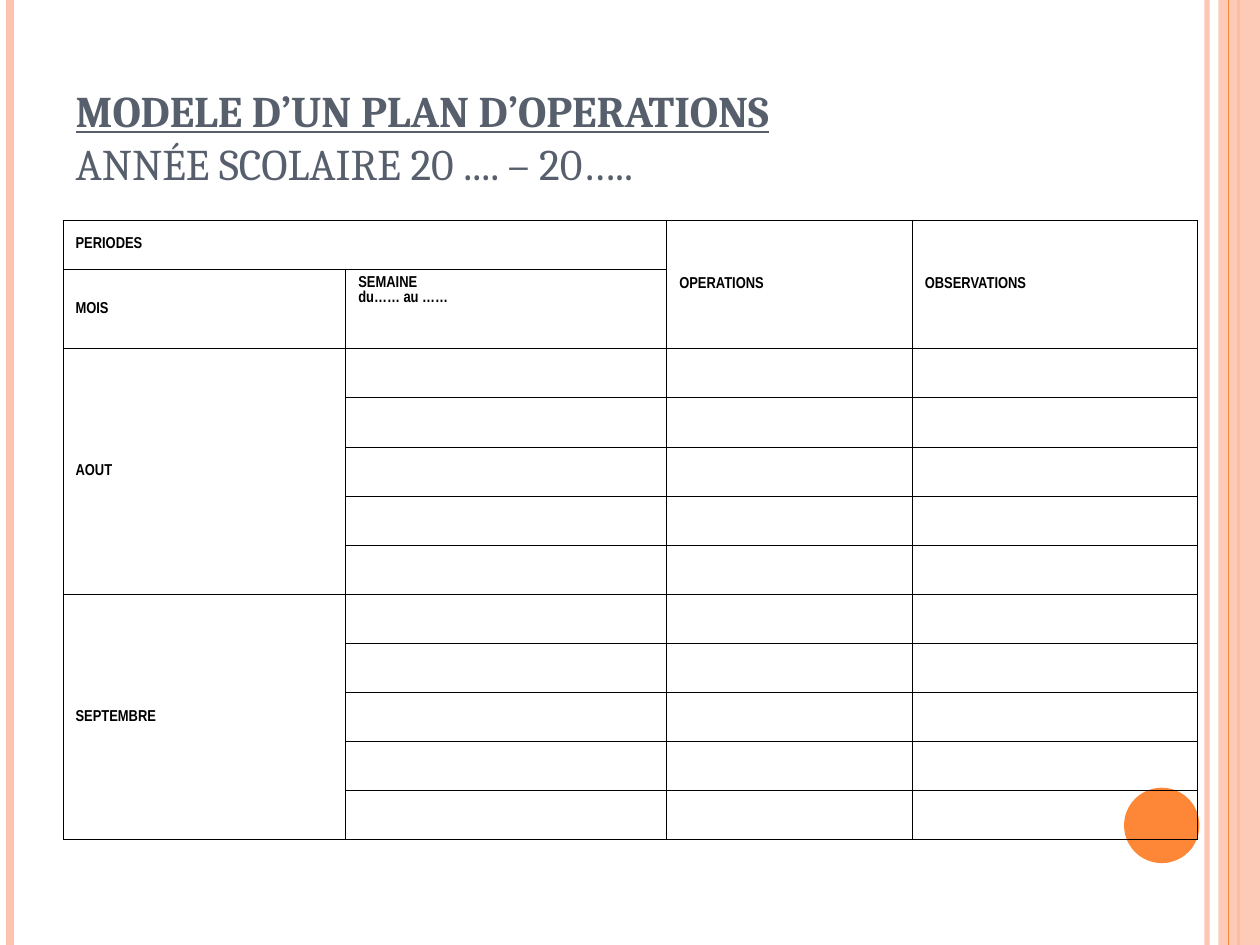
from dataclasses import dataclass

from lxml.etree import SubElement
from pptx import Presentation
from pptx.dml.color import RGBColor
from pptx.enum.shapes import MSO_CONNECTOR, MSO_SHAPE
from pptx.enum.text import MSO_ANCHOR, MSO_AUTO_SIZE, PP_ALIGN
from pptx.oxml.ns import qn
from pptx.util import Cm, Pt

WIDE, HIGH = 25.4, 19.05


@dataclass(frozen=True)
class Theme:
    peach: str = "FEC3AE"
    orange: str = "FE8637"
    slate: str = "575F6D"
    black: str = "000000"
    head: str = "Cambria"
    body: str = "Arial Narrow"
    big: int = 25
    small: int = 9
    rule: float = 0.45


def write(para, text, font, size, color, bold=False, under=False, align=PP_ALIGN.LEFT):
    para.alignment = align
    run = para.add_run()
    run.text = text
    run.font.name = font
    run.font.size = Pt(size)
    run.font.bold = bold
    run.font.underline = under
    run.font.color.rgb = RGBColor.from_string(color)


def fade(fill, color, alpha):
    """Fill with a solid colour at the given opacity in percent."""
    fill.solid()
    fill.fore_color.rgb = RGBColor.from_string(color)
    if alpha < 100:
        tint = fill._xPr.find(f".//{qn('a:srgbClr')}")
        SubElement(tint, qn("a:alpha"), val=str(alpha * 1000))


class Deck:
    def __init__(self, theme):
        self.theme = theme
        self.prs = Presentation()
        self.prs.slide_width, self.prs.slide_height = Cm(WIDE), Cm(HIGH)
        self.slide = self.prs.slides.add_slide(self.prs.slide_layouts[5])

    def stripe(self, x, color, width, alpha=100):
        line = self.slide.shapes.add_connector(
            MSO_CONNECTOR.STRAIGHT, Cm(x), Cm(0), Cm(x), Cm(HIGH))
        line.line.width = Pt(width)
        fade(line.line.fill, color, alpha)
        SubElement(line._element.spPr, qn("a:effectLst"))

    def shape(self, kind, x, y, w, h, color, alpha=100):
        item = self.slide.shapes.add_shape(kind, Cm(x), Cm(y), Cm(w), Cm(h))
        item.shadow.inherit = False
        item.line.fill.background()
        fade(item.fill, color, alpha)

    def title(self, top, sub, x, y, w, h):
        box = self.slide.shapes.title
        box.left, box.top, box.width, box.height = Cm(x), Cm(y), Cm(w), Cm(h)
        frame = box.text_frame
        frame.auto_size = MSO_AUTO_SIZE.NONE
        frame.vertical_anchor = MSO_ANCHOR.BOTTOM
        para = frame.paragraphs[0]
        style = dict(font=self.theme.head, size=self.theme.big, color=self.theme.slate)
        write(para, top, bold=True, under=True, **style)
        para.add_line_break()
        write(para, sub, **style)

    def table(self, x, y, cols, rows):
        grid = self.slide.shapes.add_table(
            len(rows), len(cols), Cm(x), Cm(y), Cm(sum(cols)), Cm(sum(rows))).table
        grid.first_row = grid.horz_banding = False
        for col, width in zip(grid.columns, cols):
            col.width = Cm(width)
        for row, height in zip(grid.rows, rows):
            row.height = Cm(height)
        for cell in grid.iter_cells():
            self.frame(cell)
            SubElement(cell.text_frame.paragraphs[0]._p, qn("a:endParaRPr"),
                       sz=str(self.theme.small * 100))
        return grid

    def frame(self, cell):
        """Rule all four sides of an unfilled cell."""
        props = cell._tc.get_or_add_tcPr()
        for side in ("lnL", "lnR", "lnT", "lnB"):
            line = SubElement(props, qn(f"a:{side}"), w=str(Pt(self.theme.rule)))
            solid = SubElement(line, qn("a:solidFill"))
            SubElement(solid, qn("a:srgbClr"), val=self.theme.black)
        cell.fill.background()

    def label(self, cell, *lines, align=PP_ALIGN.JUSTIFY, anchor=MSO_ANCHOR.MIDDLE):
        cell.vertical_anchor = anchor
        frame = cell.text_frame
        for i, text in enumerate(lines):
            para = frame.add_paragraph() if i else frame.paragraphs[0]
            props = para._p.get_or_add_pPr()
            props.set("marL", str(Cm(0.95)))
            props.set("indent", str(-Cm(0.95)))
            write(para, text, self.theme.body, self.theme.small, self.theme.black,
                  bold=True, align=align)


def main():
    theme = Theme()
    deck = Deck(theme)

    deck.stripe(24.33, theme.peach, 3, alpha=93)
    deck.stripe(0.2, theme.peach, 4.5)
    deck.stripe(24.97, theme.orange, 1.5)
    deck.shape(MSO_SHAPE.RECTANGLE, 24.56, 0, WIDE - 24.56, HIGH, theme.peach, alpha=87)
    deck.stripe(24.77, theme.orange, 0.75)
    deck.shape(MSO_SHAPE.OVAL, 22.66, 15.88, 1.52, 1.52, theme.orange)

    deck.title("MODELE D’UN PLAN D’OPERATIONS", "ANNÉE SCOLAIRE 20 .... – 20…..",
               1.27, 0.76, 22.86, 3.18)

    weeks = 5
    months = ("AOUT", "SEPTEMBRE")
    rows = [0.99, 1.6] + [0.99] * weeks * len(months)
    grid = deck.table(1.27, 4.44, [5.7, 6.47, 4.95, 5.74], rows)

    grid.cell(0, 0).merge(grid.cell(0, 1))
    deck.label(grid.cell(0, 0), "PERIODES", align=PP_ALIGN.LEFT)
    for col, name in enumerate(("OPERATIONS", "OBSERVATIONS"), start=2):
        grid.cell(0, col).merge(grid.cell(1, col))
        deck.label(grid.cell(0, col), name)
    deck.label(grid.cell(1, 0), "MOIS")
    deck.label(grid.cell(1, 1), "SEMAINE", "du…… au ……", anchor=MSO_ANCHOR.TOP)
    for i, month in enumerate(months):
        first = 2 + i * weeks
        grid.cell(first, 0).merge(grid.cell(first + weeks - 1, 0))
        deck.label(grid.cell(first, 0), month)

    deck.prs.save("out.pptx")


if __name__ == "__main__":
    main()
